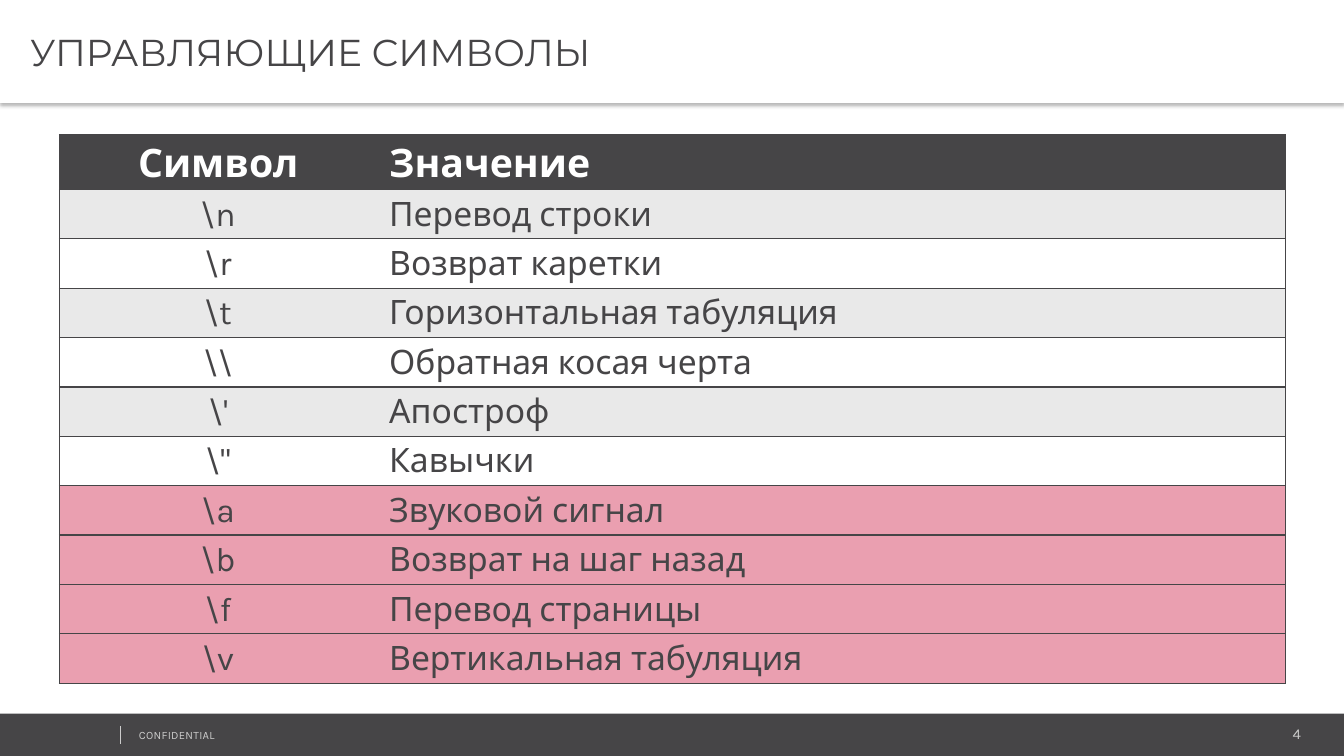
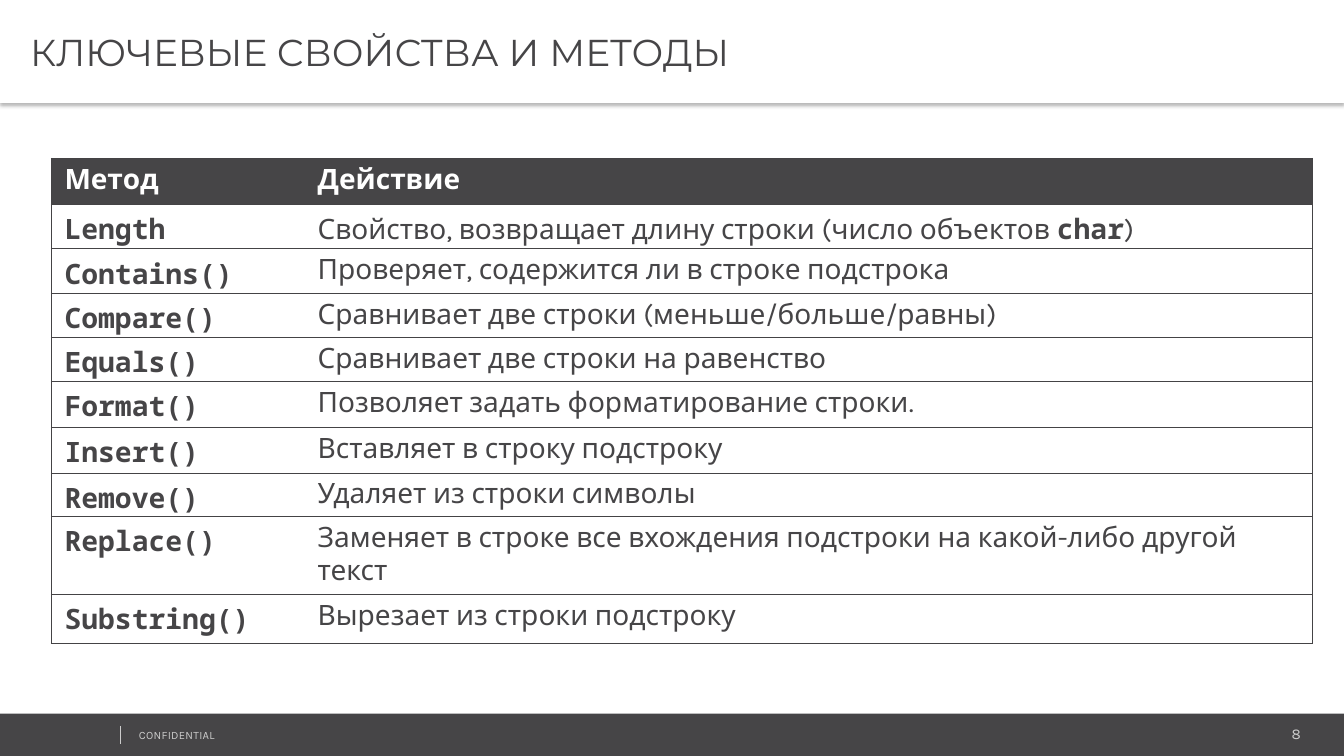
from dataclasses import dataclass

from lxml.etree import SubElement
from pptx import Presentation
from pptx.dml.color import RGBColor
from pptx.enum.shapes import MSO_CONNECTOR, MSO_SHAPE
from pptx.enum.text import MSO_ANCHOR, PP_ALIGN
from pptx.oxml import parse_xml
from pptx.oxml.ns import nsdecls, qn
from pptx.util import Emu, Pt

SCALE = 9144  # EMU per px, 100 px to the inch
WIDE, HIGH = 1333, 750


@dataclass(frozen=True)
class Theme:
    dark: str = "464547"
    rule: str = "444345"
    pale: str = "CCCCCC"
    band: str = "E9E9E9"
    pink: str = "EA9FB0"
    white: str = "FFFFFF"
    body: str = "Karla"
    head: str = "Montserrat"
    mono: str = "Noto Sans Mono"
    title: float = 26.7
    large: float = 28
    medium: float = 24
    small: float = 20
    page: float = 10.7
    note: float = 8


T = Theme()


@dataclass(frozen=True)
class Grid:
    """Place and cell style of one table."""
    left: int
    top: int
    cols: tuple
    rows: tuple
    inset: tuple
    line: str
    width: float
    space: float = 1.0
    first: PP_ALIGN = PP_ALIGN.LEFT


def px(num):
    return Emu(num * SCALE)


def box(*nums):
    return [px(num) for num in nums]


def rgb(code):
    return RGBColor.from_string(code)


def pad(item, nums):
    """Set left, top, right and bottom margins of a frame or cell."""
    (item.margin_left, item.margin_top,
     item.margin_right, item.margin_bottom) = box(*nums)


def add_run(para, text, size, color, face=T.body, bold=False):
    run = para.add_run()
    run.text = text
    font = run.font
    font.size, font.name, font.bold = Pt(size), face, bold
    font.color.rgb = rgb(color)
    return run


def add_rect(slide, place, color):
    rect = slide.shapes.add_shape(MSO_SHAPE.RECTANGLE, *box(*place))
    rect.shadow.inherit = False
    rect.fill.solid()
    rect.fill.fore_color.rgb = rgb(color)
    rect.line.fill.background()
    return rect


def add_label(slide, place, text, size, align=PP_ALIGN.LEFT):
    frame = slide.shapes.add_textbox(*box(*place)).text_frame
    frame.word_wrap = True
    para = frame.paragraphs[0]
    para.alignment = align
    return add_run(para, text, size, T.pale)


def add_foot(slide, page):
    add_rect(slide, (0, 708, WIDE, 42), T.dark)
    add_label(slide, (1082, 714, 218, 28), page, T.page, PP_ALIGN.RIGHT)
    run = add_label(slide, (128, 718, 338, 24), "CONFIDENTIAL", T.note)
    run.font._element.set("spc", "20")
    line = slide.shapes.add_connector(
        MSO_CONNECTOR.STRAIGHT, *box(119, 720, 119, 738))
    line.line.color.rgb = rgb(T.pale)
    line.line.width = Pt(0.25)
    SubElement(line._element.spPr, qn("a:effectLst"))


def add_title(slide, text):
    bar = add_rect(slide, (0, 0, WIDE, 102), T.white)
    glow = bar._element.spPr.find(qn("a:effectLst"))
    glow.append(parse_xml(
        f'<a:outerShdw {nsdecls("a")} blurRad="{Pt(3.1)}" dist="{Pt(2)}" '
        'dir="5400000" algn="t" rotWithShape="0"><a:srgbClr val="000000">'
        '<a:alpha val="30000"/></a:srgbClr></a:outerShdw>'))
    frame = bar.text_frame
    frame.word_wrap = True
    frame.vertical_anchor = MSO_ANCHOR.MIDDLE
    pad(frame, (30, 4, 7, 4))
    para = frame.paragraphs[0]
    para.alignment = PP_ALIGN.LEFT
    add_run(para, text, T.title, T.dark, T.head)


def set_edges(cell, grid, col):
    """Rule the rows and the outer frame, with no line between columns."""
    shown = {"L": col == 0, "R": col == len(grid.cols) - 1,
             "T": True, "B": True}
    props = cell._tc.get_or_add_tcPr()
    for spot, (side, on) in enumerate(shown.items()):
        paint = (f'<a:solidFill><a:srgbClr val="{grid.line}"/></a:solidFill>'
                 if on else "<a:noFill/>")
        props.insert(spot, parse_xml(
            f'<a:ln{side} {nsdecls("a")} w="{Pt(grid.width)}">'
            f'{paint}</a:ln{side}>'))


def add_grid(slide, grid, rows):
    """Draw rows given as (fill, cells); a cell is a list of runs."""
    size = sum(grid.cols), sum(grid.rows)
    table = slide.shapes.add_table(
        len(rows), len(grid.cols), *box(grid.left, grid.top, *size)).table
    table.horz_banding = False
    for col, width in zip(table.columns, grid.cols):
        col.width = px(width)
    for r, (fill, cells) in enumerate(rows):
        table.rows[r].height = px(grid.rows[r])
        for c, runs in enumerate(cells):
            cell = table.cell(r, c)
            cell.fill.solid()
            cell.fill.fore_color.rgb = rgb(fill)
            pad(cell, grid.inset)
            para = cell.text_frame.paragraphs[0]
            para.line_spacing = grid.space
            para.alignment = PP_ALIGN.LEFT if c else grid.first
            for run in runs:
                add_run(para, *run)
            set_edges(cell, grid, c)


def head_row(names, size):
    return T.dark, [[(name, size, T.white, T.body, True)] for name in names]


def plain(text, size):
    return text, size, T.dark


def code(text):
    return text, T.small, T.dark, T.mono, True


def symbol_rows():
    common = [
        (r"\n", "Перевод строки"),
        (r"\r", "Возврат каретки"),
        (r"\t", "Горизонтальная табуляция"),
        (r"\\", "Обратная косая черта"),
        (r"\'", "Апостроф"),
        (r"\"", "Кавычки"),
    ]
    rare = [
        (r"\a", "Звуковой сигнал"),
        (r"\b", "Возврат на шаг назад"),
        (r"\f", "Перевод страницы"),
        (r"\v", "Вертикальная табуляция"),
    ]
    fills = [T.band, T.white] * 3 + [T.pink] * len(rare)
    return [head_row(("Символ", "Значение"), T.large)] + [
        (fill, [[plain(text, T.medium)] for text in pair])
        for fill, pair in zip(fills, common + rare)]


def method_rows():
    items = [
        ("Contains()", "Проверяет, содержится ли в строке подстрока"),
        ("Compare()", "Сравнивает две строки (меньше/больше/равны)"),
        ("Equals()", "Сравнивает две строки на равенство"),
        ("Format()", "Позволяет задать форматирование строки."),
        ("Insert()", "Вставляет в строку подстроку"),
        ("Remove()", "Удаляет из строки символы"),
        ("Replace()", "Заменяет в строке все вхождения подстроки "
                      "на какой-либо другой текст"),
        ("Substring()", "Вырезает из строки подстроку"),
    ]
    length = [
        plain("Свойство, возвращает длину строки (число объектов ", T.small),
        code("char"),
        plain(")", T.small),
    ]
    return [head_row(("Метод", "Действие"), T.small),
            (T.white, [[code("Length")], length])] + [
        (T.white, [[code(name)], [plain(text, T.small)]])
        for name, text in items]


def add_page(deck, page, title, grid, rows):
    slide = deck.slides.add_slide(deck.slide_layouts[6])
    add_foot(slide, page)
    add_grid(slide, grid, rows)
    add_title(slide, title)


def main():
    deck = Presentation()
    deck.slide_width, deck.slide_height = box(WIDE, HIGH)
    symbols = Grid(59, 134, (315, 901), (54,) + (49,) * 10, (12, 0, 12, 0),
                   T.dark, 1, 1.15, PP_ALIGN.CENTER)
    methods = Grid(51, 157, (251, 1000),
                   (46, 44, 44, 44, 43, 46, 45, 43, 77, 49),
                   (13, 5, 13, 5), T.rule, 0.75)
    add_page(deck, "4", "УПРАВЛЯЮЩИЕ СИМВОЛЫ", symbols, symbol_rows())
    add_page(deck, "8", "КЛЮЧЕВЫЕ СВОЙСТВА И МЕТОДЫ", methods, method_rows())
    deck.save("out.pptx")


if __name__ == "__main__":
    main()
